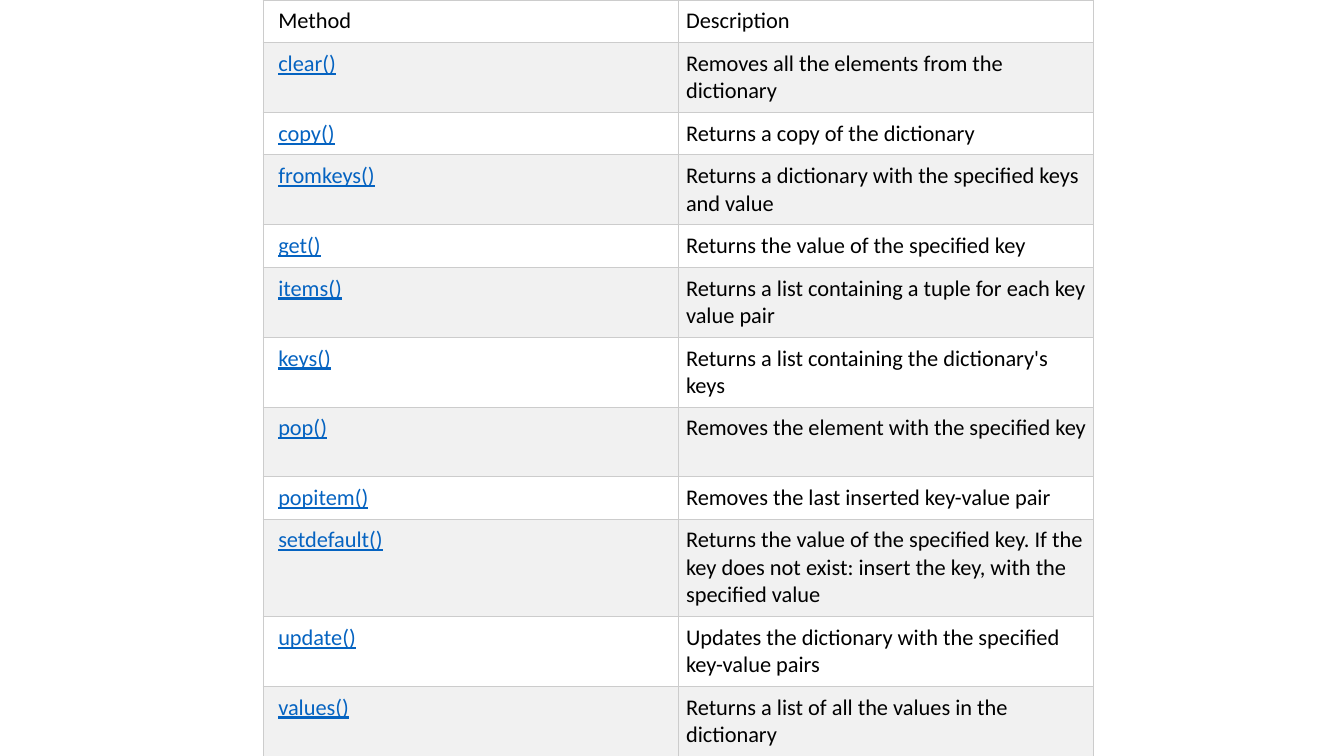
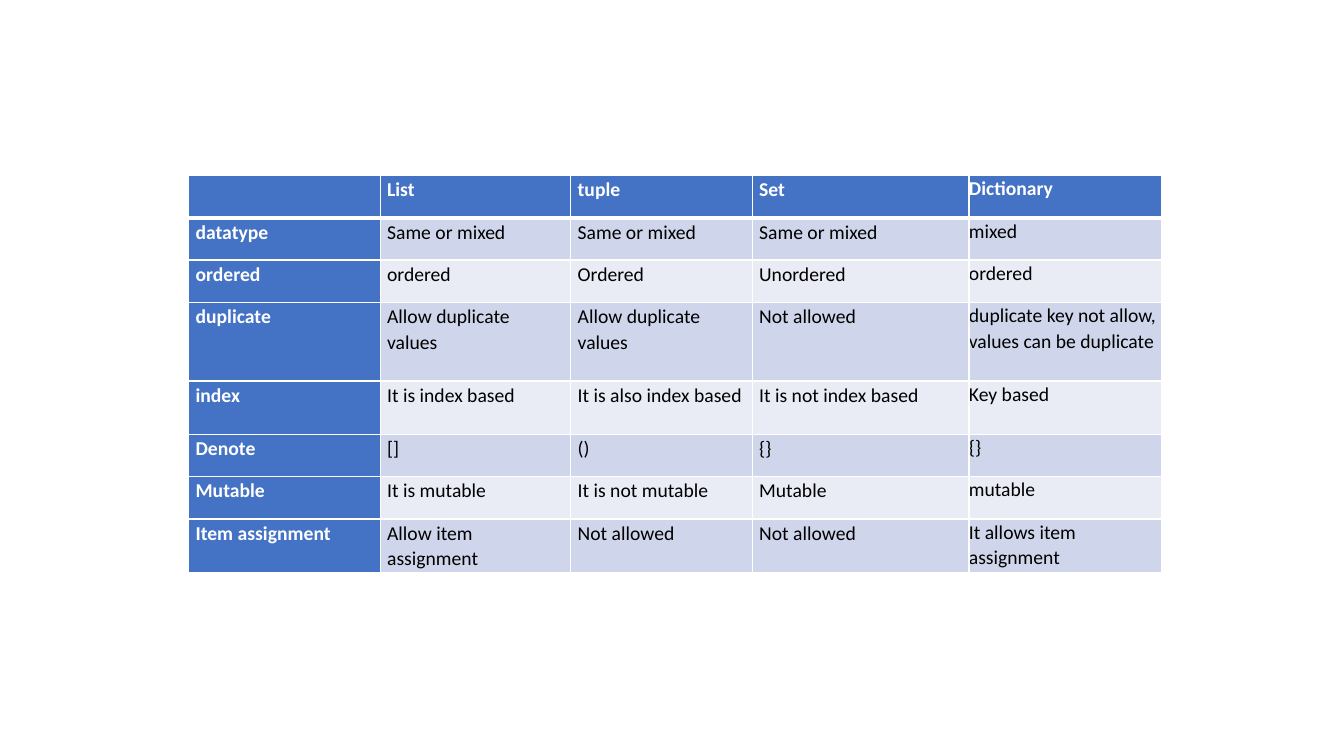
from lxml import etree
from pptx import Presentation
from pptx.dml.color import RGBColor
from pptx.oxml.ns import qn
from pptx.util import Inches, Pt

FONT = "Calibri"
BLACK, WHITE, LINK = "000000", "FFFFFF", "0563C1"
GRID, GRID_END, STRIPE = "CCCCCC", "DDDDDD", "F1F1F1"
BLUE, BAND_DARK, BAND_LIGHT = "4472C4", "CFD5EA", "E9EBF5"

METHODS = [
    ("Method", "Description"),
    ("clear()", "Removes all the elements from the dictionary"),
    ("copy()", "Returns a copy of the dictionary"),
    ("fromkeys()", "Returns a dictionary with the specified keys and value"),
    ("get()", "Returns the value of the specified key"),
    ("items()", "Returns a list containing a tuple for each key value pair"),
    ("keys()", "Returns a list containing the dictionary's keys"),
    ("pop()", "Removes the element with the specified key"),
    ("popitem()", "Removes the last inserted key-value pair"),
    ("setdefault()", "Returns the value of the specified key. If the key does not exist: "
                     "insert the key, with the specified value"),
    ("update()", "Updates the dictionary with the specified key-value pairs"),
    ("values()", "Returns a list of all the values in the dictionary"),
]
METHOD_COLS = [4.12, 4.12]
METHOD_ROWS = [0.42, 0.69, 0.42, 0.69, 0.42, 0.69, 0.69, 0.69, 0.42, 0.96, 0.69, 0.69]

TYPES = [
    ("", "List", "tuple", "Set", "Dictionary"),
    ("datatype", "Same or mixed", "Same or mixed", "Same or mixed", "mixed"),
    ("ordered", "ordered", "Ordered", "Unordered", "ordered"),
    ("duplicate", "Allow duplicate values", "Allow duplicate values", "Not allowed",
     "duplicate key not allow, values can be duplicate"),
    ("index", "It is index based", "It is also index based", "It is not index based", "Key based"),
    ("Denote", "[]", "()", "{}", "{}"),
    ("Mutable", "It is mutable", "It is not mutable", "Mutable", "mutable"),
    ("Item assignment", "Allow item assignment", "Not allowed", "Not allowed",
     "It allows item assignment"),
]
TYPE_COLS = [1.9, 1.89, 1.8, 2.15, 1.91]
TYPE_ROWS = [0.42, 0.42, 0.42, 0.78, 0.53, 0.42, 0.42, 0.53]


def rgb(color):
    return RGBColor.from_string(color)


def set_borders(cell, borders):
    tcPr = cell._tc.get_or_add_tcPr()
    for side in "LRTB":
        color, width = borders[side]
        ln = etree.SubElement(tcPr, qn(f"a:ln{side}"), w=str(Pt(width)))
        fill = etree.SubElement(ln, qn("a:solidFill"))
        etree.SubElement(fill, qn("a:srgbClr"), val=color)


def set_attrs(obj, values):
    for name, value in values.items():
        setattr(obj, name, value)


def fill_cell(cell, text, style):
    set_borders(cell, style["borders"])
    cell.fill.solid()
    cell.fill.fore_color.rgb = rgb(style["fill"])
    sides = ("margin_left", "margin_top", "margin_right", "margin_bottom")
    set_attrs(cell, dict(zip(sides, style["margins"])))
    p = cell.text_frame.paragraphs[0]
    set_attrs(p, style.get("paragraph", {}))
    set_attrs(p.font, style["font"])
    if text:
        r = p.add_run()
        r.text = text
        set_attrs(r.font, {"name": FONT, **style["font"]})
        r.font.color.rgb = rgb(style["color"])


def add_table(prs, left, top, cols, rows, content, style_of):
    s = prs.slides.add_slide(prs.slide_layouts[6])
    table = s.shapes.add_table(len(rows), len(cols), Inches(left), Inches(top),
                               Inches(sum(cols)), Inches(sum(rows))).table
    set_attrs(table, {"first_row": False, "horz_banding": False})
    for column, width in zip(table.columns, cols):
        column.width = Inches(width)
    for row, height in zip(table.rows, rows):
        row.height = Inches(height)
    for i, texts in enumerate(content):
        for j, text in enumerate(texts):
            fill_cell(table.cell(i, j), text, style_of(i, j))


def method_style(i, j):
    borders = dict.fromkeys("LRTB", (GRID, 0.75))
    if i == len(METHODS) - 1:
        borders["B"] = (GRID_END, 0.75)
    is_link = i > 0 and j == 0
    wide = Inches(0.15)
    inset = wide // 2
    return {
        "borders": borders,
        "fill": STRIPE if i % 2 else WHITE,
        "margins": (inset if j else wide, inset, inset, inset),
        "font": {"size": Pt(16), "underline": is_link},
        "color": LINK if is_link else BLACK,
    }


def type_style(i, j):
    borders = dict.fromkeys("LRTB", (WHITE, 1))
    if i < 2:
        borders["T" if i else "B"] = (WHITE, 3)
    is_head = i == 0 or j == 0
    is_last = j == len(TYPE_COLS) - 1
    margins = (0, 0, 0, 0) if is_last else (0.07, 0.01, 0.07, 0)
    return {
        "borders": borders,
        "fill": BLUE if is_head else BAND_DARK if i % 2 else BAND_LIGHT,
        "margins": [Inches(m) for m in margins],
        "paragraph": {"line_spacing": 1.07, "space_after": Pt(8)},
        "font": {"size": Pt(14), "bold": is_head},
        "color": WHITE if is_head else BLACK,
    }


def main():
    prs = Presentation()
    set_attrs(prs, {"slide_width": Inches(13.33), "slide_height": Inches(7.5)})
    add_table(prs, 2.61, 0, METHOD_COLS, METHOD_ROWS, METHODS, method_style)
    add_table(prs, 1.87, 1.74, TYPE_COLS, TYPE_ROWS, TYPES, type_style)
    prs.save("out.pptx")


if __name__ == "__main__":
    main()
